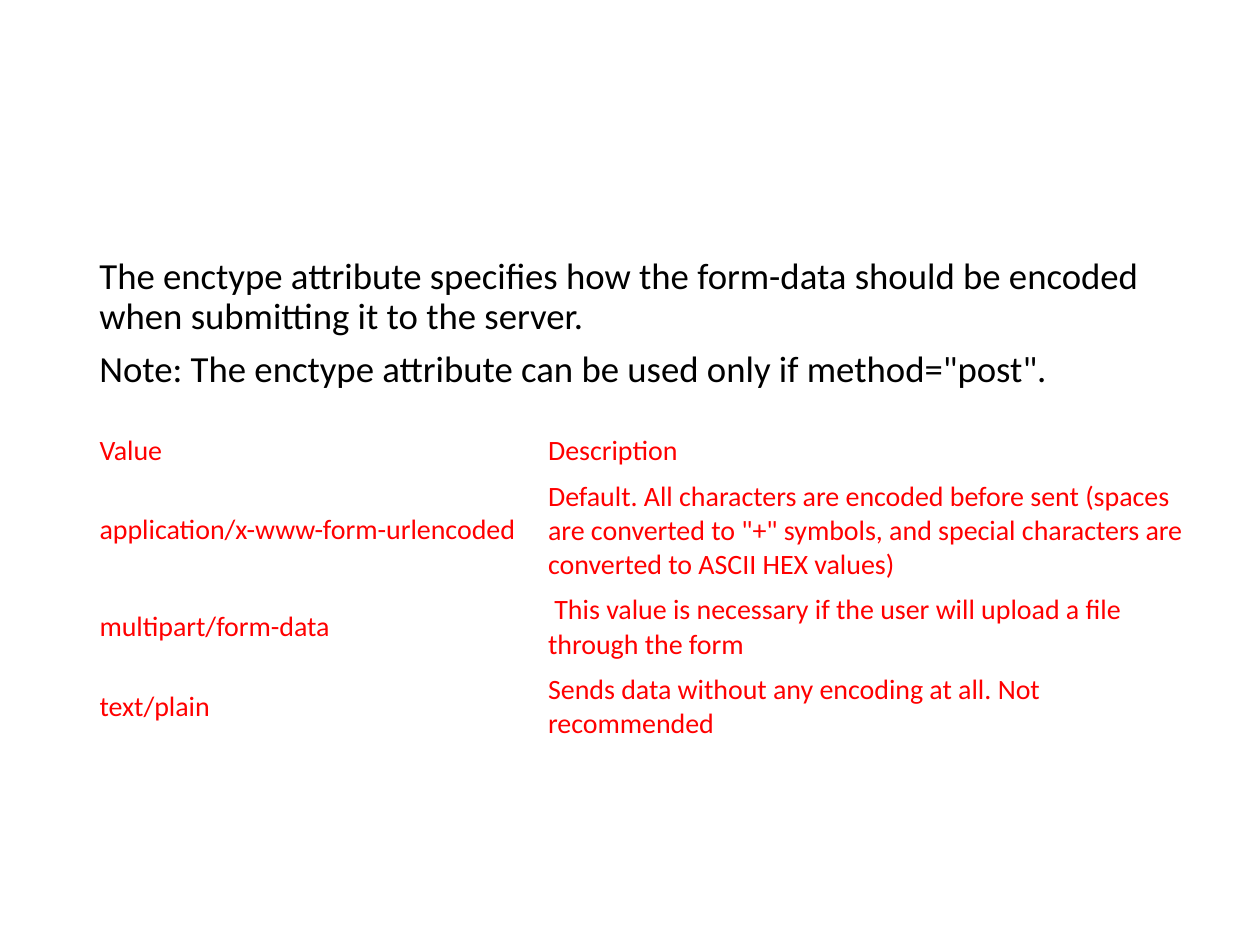
from pptx import Presentation
from pptx.dml.color import RGBColor
from pptx.enum.text import MSO_ANCHOR as Anchor
from pptx.util import Inches, Pt

BLACK = RGBColor(0x00, 0x00, 0x00)
RED = RGBColor(0xFF, 0x00, 0x00)
FONT = "Calibri"
LEFT = Inches(0.69)

INTRO = [
    "The enctype attribute specifies how the form-data should be encoded "
    "when submitting it to the server.",
    'Note: The enctype attribute can be used only if method="post".',
]
COLUMN_WIDTHS = [3.56, 5.34]
# Row height in inches, value, description
ENCTYPE_ROWS = [
    (0.33, "Value", "Description"),
    (0.8, "application/x-www-form-urlencoded",
     'Default. All characters are encoded before sent (spaces are converted to "+" '
     "symbols, and special characters are converted to ASCII HEX values)"),
    (0.56, "multipart/form-data",
     " This value is necessary if the user will upload a file through the form"),
    (0.33, "text/plain",
     "Sends data without any encoding at all. Not recommended"),
]


def add_span(para, text, size, color):
    span = para.add_run()
    span.text = text
    span.font.name = FONT
    span.font.size = Pt(size)
    span.font.color.rgb = color


def add_intro(page):
    box = page.shapes.add_textbox(LEFT, Inches(2), Inches(8.62), Inches(4.76))
    frame = box.text_frame
    frame.word_wrap = True
    for index, text in enumerate(INTRO):
        para = frame.add_paragraph() if index else frame.paragraphs[0]
        para.line_spacing = 0.9
        para.space_before = Pt(7.5)
        add_span(para, text, 21, BLACK)


def add_enctype_table(page):
    table = page.shapes.add_table(
        len(ENCTYPE_ROWS), len(COLUMN_WIDTHS), LEFT, Inches(3.39),
        Inches(sum(COLUMN_WIDTHS)), Inches(sum(row[0] for row in ENCTYPE_ROWS)),
    ).table
    table.first_row = False
    table.horz_banding = False
    # Clear the theme style's grid lines
    table._tbl.tblPr.find("{*}tableStyleId").text = "{2D5ABB26-0587-4C30-8999-92F81FD0307C}"
    for column, width in zip(table.columns, COLUMN_WIDTHS):
        column.width = Inches(width)
    for row, (height, *texts) in zip(table.rows, ENCTYPE_ROWS):
        row.height = Inches(height)
        for cell, text in zip(row.cells, texts):
            cell.fill.background()
            cell.vertical_anchor = Anchor.MIDDLE
            add_span(cell.text_frame.paragraphs[0], text, 16, RED)


def main():
    deck = Presentation()
    deck.slide_width, deck.slide_height = Inches(10), Inches(7.5)
    page = deck.slides.add_slide(deck.slide_layouts[6])
    # Explanation above, table of values below
    add_intro(page)
    add_enctype_table(page)
    deck.save("out.pptx")


if __name__ == "__main__":
    main()
